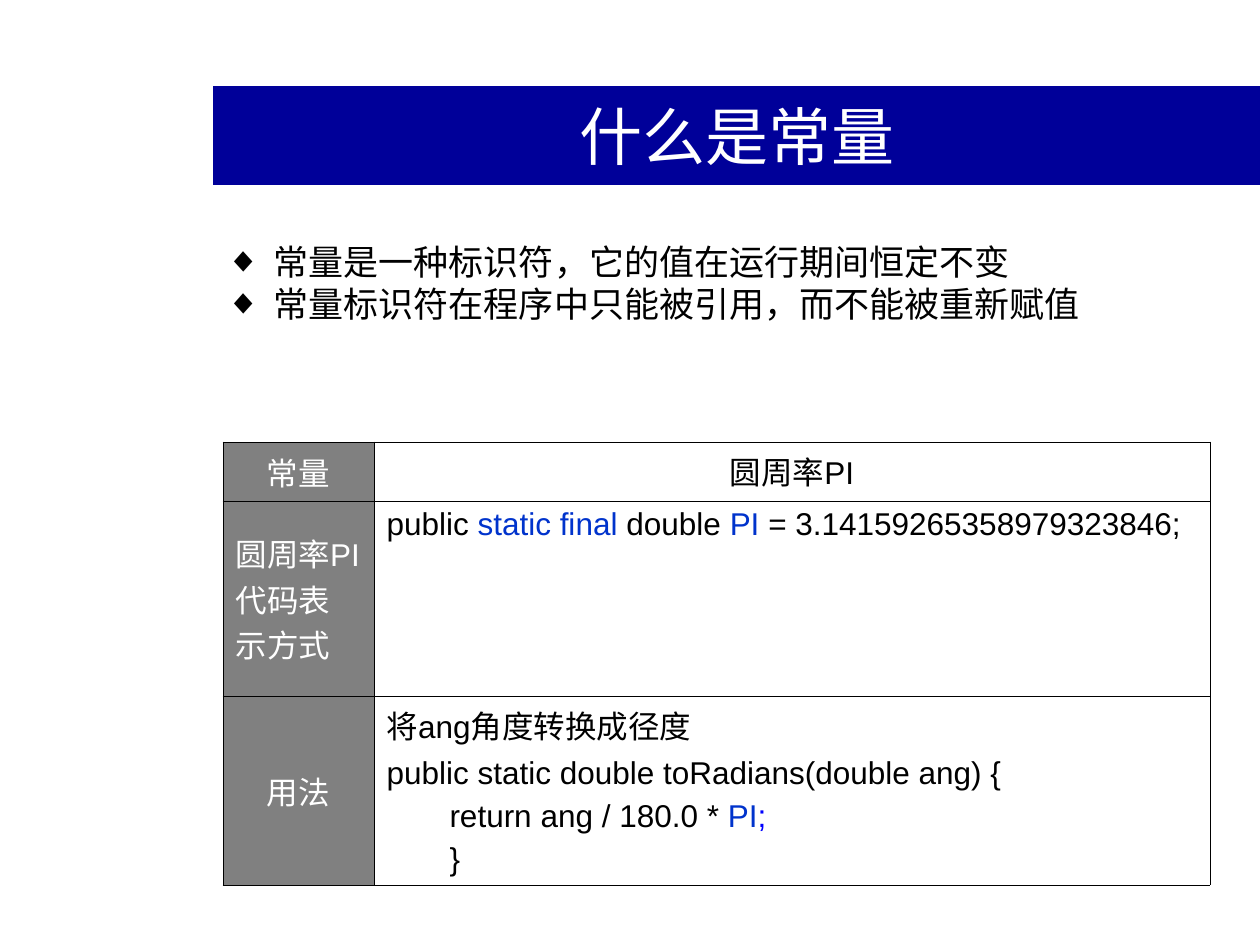
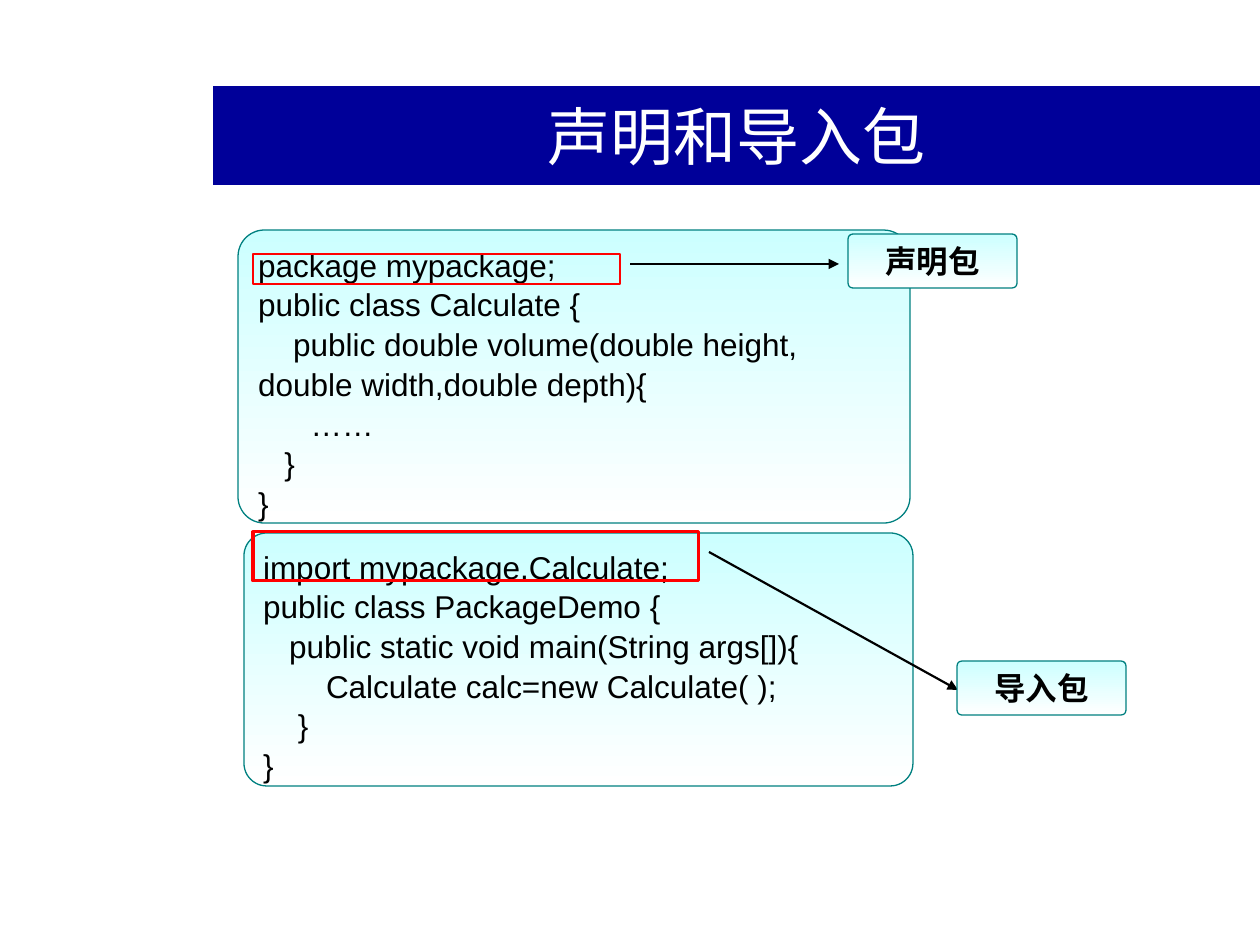
import pptx
import pptx.util
import pptx.dml.color
import pptx.enum.shapes
import pptx.enum.text
import pptx.oxml
import pptx.oxml.ns

PX = 914400 / 126
COLORS = {
    "band": "000099", "white": "FFFFFF", "black": "000000", "grey": "808080",
    "keyword": "0033CC", "semicolon": "0000FF", "mint": "CCFFFF",
    "teal": "008080", "red": "FF0000",
}
SHAPES = pptx.enum.shapes.MSO_SHAPE
ALIGN = pptx.enum.text.PP_ALIGN
MIDDLE = pptx.enum.text.MSO_ANCHOR.MIDDLE
TOP = pptx.enum.text.MSO_ANCHOR.TOP
NO_FIT = pptx.enum.text.MSO_AUTO_SIZE.NONE
pt = pptx.util.Pt

TITLE_BOX = (213, 86, 1047, 99)
CODE_FORMAT = {"line_spacing": 1.05}
INDENT = 63
HANG = 48


def px(n):
    return pptx.util.Emu(round(n * PX))


def rgb(name):
    return pptx.dml.color.RGBColor.from_string(COLORS[name])


def apply(obj, values):
    for name, value in values.items():
        setattr(obj, name, value)


def place(sp, box):
    apply(sp, dict(zip(("left", "top", "width", "height"), map(px, box))))


def xml(tag, **attrs):
    el = pptx.oxml.parse_xml(f"<a:{tag} {pptx.oxml.ns.nsdecls('a')}/>")
    for name, value in attrs.items():
        el.set(name, str(value))
    return el


def solid_xml(name):
    fill = xml("solidFill")
    fill.append(xml("srgbClr", val=COLORS[name]))
    return fill


# Text
def style_run(r, color="black", size=18, bold=False):
    apply(r.font, {"name": "Arial", "size": pt(size), "bold": bold})
    r.font.color.rgb = rgb(color)


def paragraphs(tf, count):
    return [tf.paragraphs[0]] + [tf.add_paragraph() for _ in range(count - 1)]


def write_lines(tf, lines, fmt, **font):
    for p, line in zip(paragraphs(tf, len(lines)), lines):
        p.text = line
        apply(p, fmt)
        for r in p.runs:
            style_run(r, **font)


def write_runs(p, runs):
    for text, color in runs:
        r = p.add_run()
        r.text = text
        style_run(r, color)


# Placeholders
def add_slide(prs, layout, title):
    s = prs.slides.add_slide(prs.slide_layouts[layout])
    sp = s.shapes.title
    place(sp, TITLE_BOX)
    sp.fill.solid()
    sp.fill.fore_color.rgb = rgb("band")
    apply(sp.text_frame, {"auto_size": NO_FIT, "vertical_anchor": MIDDLE})
    write_lines(sp.text_frame, [title], {"alignment": ALIGN.CENTER},
                color="white", size=36)
    return s


def fill_bullets(sp, box, items):
    place(sp, box)
    tf = sp.text_frame
    tf.auto_size = NO_FIT
    write_lines(tf, items, {"space_before": pt(0)}, size=20)
    for p in tf.paragraphs:
        pPr = p._p.get_or_add_pPr()
        pPr.set("marL", str(px(HANG)))
        pPr.set("indent", str(px(-HANG)))
        color = xml("buClr")
        color.append(xml("srgbClr", val=COLORS["black"]))
        pPr.append(color)
        pPr.append(xml("buChar", char="◆"))


# Table
def style_cell(cell, header):
    if header:
        cell.fill.solid()
        cell.fill.fore_color.rgb = rgb("grey")
    else:
        cell.fill.background()
    cell.vertical_anchor = MIDDLE if header else TOP
    tcPr = cell._tc.get_or_add_tcPr()
    for i, side in enumerate(("lnL", "lnR", "lnT", "lnB")):
        border = xml(side, w=pt(0.45))
        border.append(solid_xml("black"))
        tcPr.insert(i, border)


def add_table(s, left, top, widths, heights, rows):
    frame = s.shapes.add_table(len(rows), len(widths), px(left), px(top),
                               px(sum(widths)), px(sum(heights)))
    table = frame.table
    apply(table, {"first_row": False, "horz_banding": False})
    for column, width in zip(table.columns, widths):
        column.width = px(width)
    for row, height in zip(table.rows, heights):
        row.height = px(height)
    for r, row in enumerate(rows):
        for c, (align, lines) in enumerate(row):
            cell = table.cell(r, c)
            style_cell(cell, header=c == 0)
            tf = cell.text_frame
            for i, (p, (level, runs)) in enumerate(
                    zip(paragraphs(tf, len(lines)), lines)):
                p.alignment = align
                p.space_before = pt(4.5 if i else 0)
                if level:
                    p._p.get_or_add_pPr().set("marL", str(px(level * INDENT)))
                write_runs(p, runs)


# Shapes
def add_panel(s, box, lines, fmt, anchor=TOP, bold=False):
    sp = s.shapes.add_shape(SHAPES.ROUNDED_RECTANGLE, *map(px, box))
    sp.shadow.inherit = False
    sp.adjustments[0] = 0.09
    sp.fill.gradient()
    sp.fill.gradient_angle = 270
    for stop, position, color in zip(sp.fill.gradient_stops, (0, 1),
                                     ("mint", "white")):
        stop.position = position
        stop.color.rgb = rgb(color)
    sp.line.color.rgb = rgb("teal")
    sp.line.width = pt(0.75)
    apply(sp.text_frame, {"word_wrap": True, "vertical_anchor": anchor})
    write_lines(sp.text_frame, lines, fmt, bold=bold)


def add_code(s, box, lines):
    add_panel(s, box, lines, {"alignment": ALIGN.LEFT, **CODE_FORMAT})


def add_label(s, left, top, text):
    add_panel(s, (left, top, 169, 54), [text], {"alignment": ALIGN.CENTER},
              MIDDLE, bold=True)


def add_highlight(s, box, width):
    sp = s.shapes.add_shape(SHAPES.RECTANGLE, *map(px, box))
    sp.shadow.inherit = False
    sp.fill.background()
    sp.line.color.rgb = rgb("red")
    sp.line.width = pt(width)


def add_arrow(s, start, end, width):
    cxn = s.shapes.add_connector(pptx.enum.shapes.MSO_CONNECTOR.STRAIGHT,
                                 *map(px, start + end))
    cxn.line.color.rgb = rgb("black")
    cxn.line.width = pt(width)
    cxn.line._get_or_add_ln().append(xml("tailEnd", type="triangle"))
    cxn._element.spPr.append(xml("effectLst"))


# Slides
def constants_slide(prs):
    s = add_slide(prs, 1, "什么是常量")
    fill_bullets(s.placeholders[1], (213, 234, 1022, 118), [
        "常量是一种标识符，它的值在运行期间恒定不变",
        "常量标识符在程序中只能被引用，而不能被重新赋值",
    ])
    left, center = ALIGN.LEFT, ALIGN.CENTER
    rows = [
        [(center, [(0, [("常量", "white")])]),
         (center, [(0, [("圆周率PI", "black")])])],
        [(left, [(0, [("圆周率PI代码表示方式", "white")])]),
         (left, [(0, [("public ", "black"), ("static final", "keyword"),
                      (" double ", "black"), ("PI ", "keyword"),
                      ("= 3.14159265358979323846;", "black")])])],
        [(center, [(0, [("用法", "white")])]),
         (left, [
             (0, [("将ang角度转换成径度", "black")]),
             (0, [("public static double toRadians(double ang) {", "black")]),
             (1, [("return ang / 180.0 * ", "black"), ("PI", "keyword"),
                  (";", "semicolon")]),
             (1, [("}", "black")]),
         ])],
    ]
    add_table(s, 223, 442, (151, 836), (59, 149, 189), rows)


def packages_slide(prs):
    s = add_slide(prs, 5, "声明和导入包")

    # Declaring a package
    add_code(s, (238, 230, 672, 293), [
        "package mypackage;",
        "public class Calculate {",
        "    public double volume(double height,\vdouble width,double depth){",
        "      ……",
        "   }",
        "}",
    ])
    add_arrow(s, (630, 264), (839, 264), 1.5)
    add_highlight(s, (253, 254, 367, 30), 1.5)
    add_label(s, 848, 234, "声明包")

    # Importing a package
    add_code(s, (244, 533, 669, 253), [
        "import mypackage.Calculate;",
        "public class PackageDemo {",
        "   public static void main(String args[]){",
        "   \tCalculate calc=new Calculate( );",
        "    }",
        "}",
    ])
    add_highlight(s, (253, 532, 446, 49), 1.75)
    add_arrow(s, (709, 552), (958, 690), 1.25)
    add_label(s, 957, 661, "导入包")


def main():
    prs = pptx.Presentation()
    apply(prs, {"slide_width": px(1260), "slide_height": px(945)})
    constants_slide(prs)
    packages_slide(prs)
    prs.save("out.pptx")


if __name__ == "__main__":
    main()
